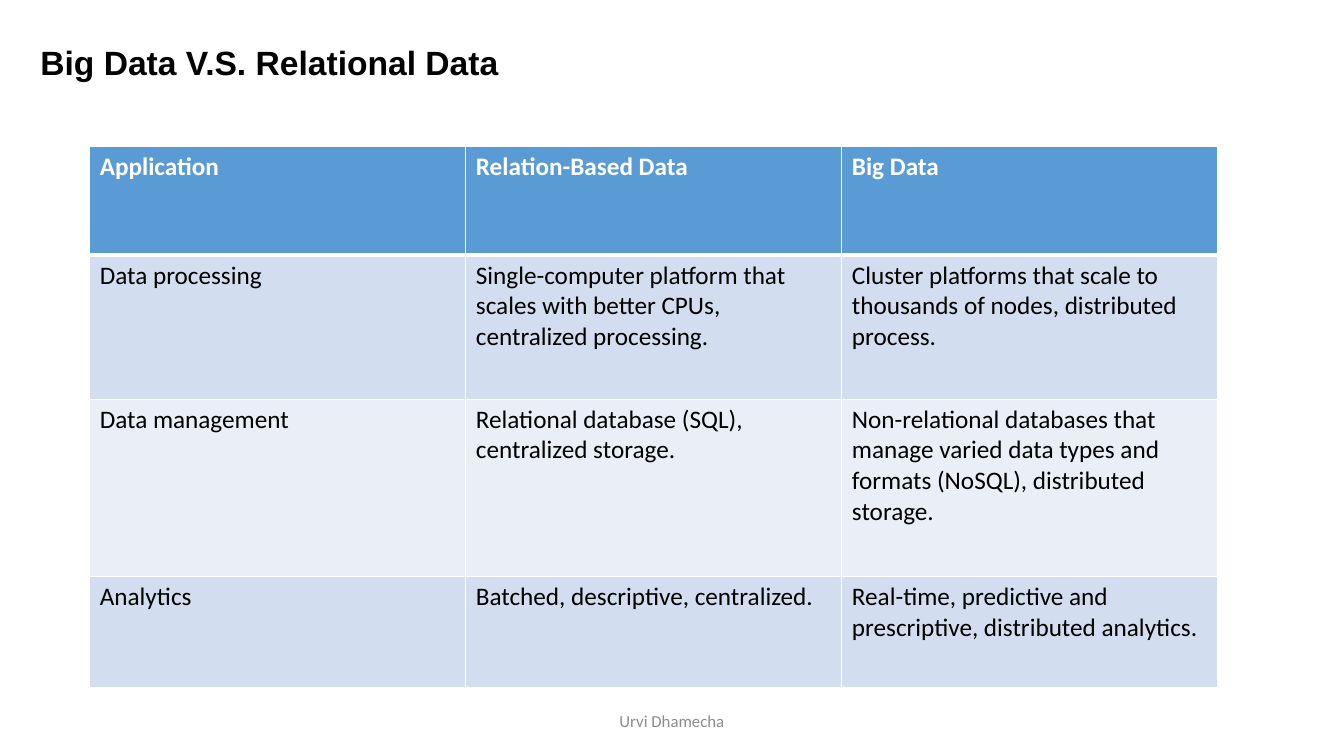
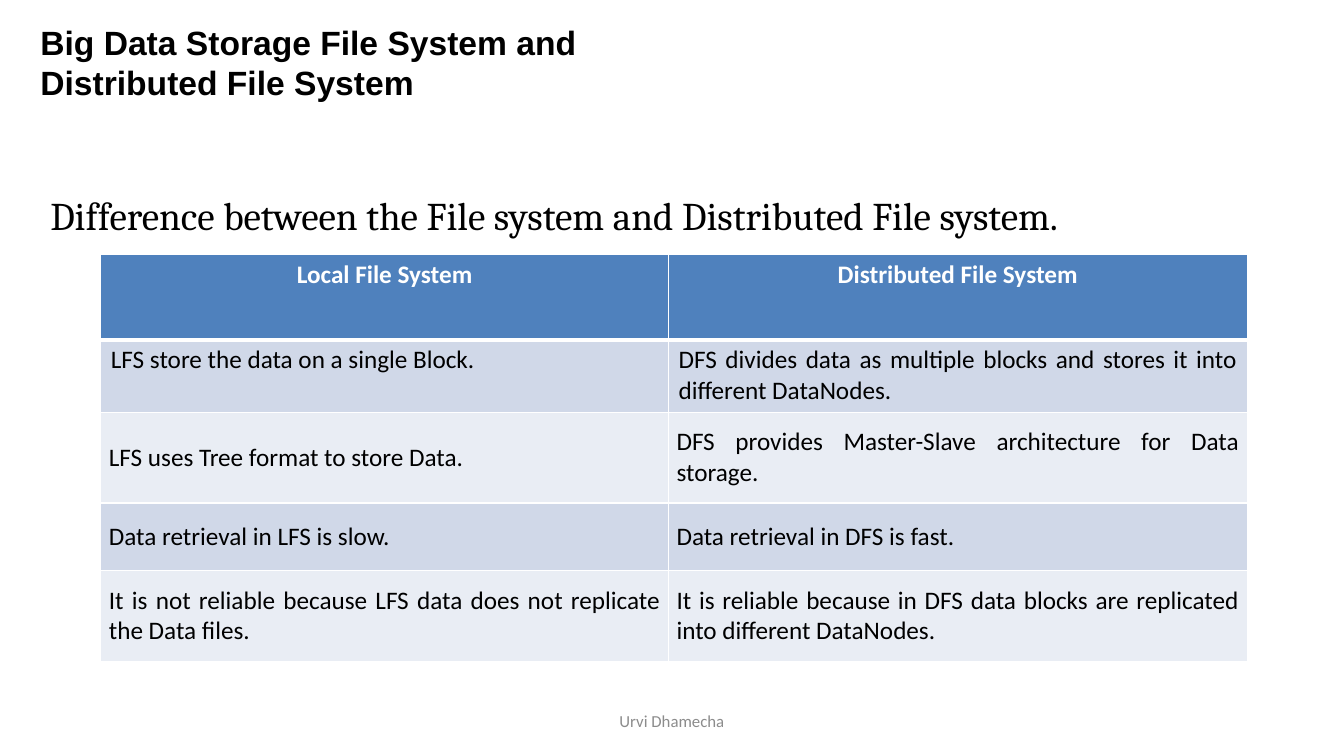
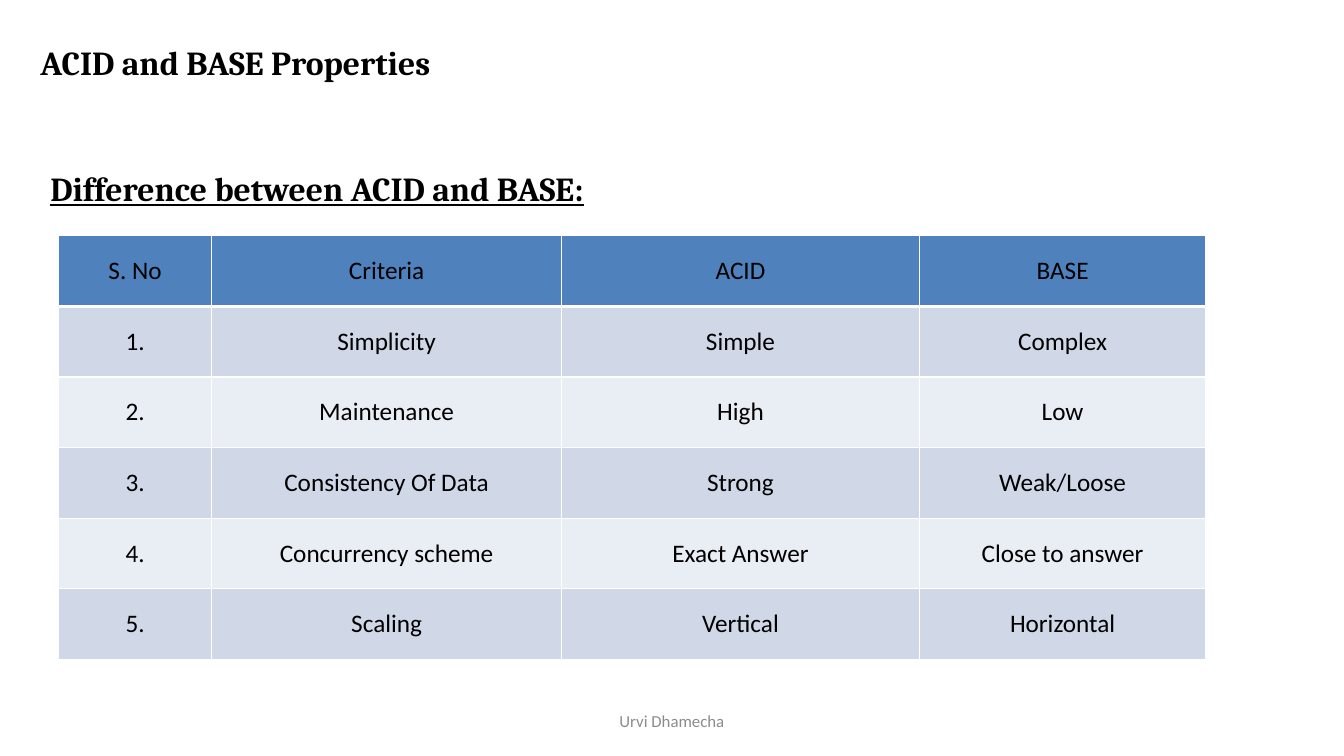
from pptx import Presentation
from pptx.dml.color import RGBColor
from pptx.enum.text import MSO_ANCHOR as Anchor, PP_ALIGN as Align
from pptx.oxml import parse_xml
from pptx.oxml.ns import nsdecls
from pptx.util import Inches, Pt

# Shared look
WIDTH, HEIGHT = 13.33, 7.5
LEFT = 0.4
BLACK, WHITE, GREY = "000000", "FFFFFF", "8C8C8C"
BRIGHT = ("5B9BD5", "D2DEEF", "EAEFF7")  # header, odd rows, even rows
MUTED = ("4F81BD", "D0D8E8", "E9EDF4")
TOP_CELL = (Anchor.TOP, 0.1, 0.05)  # anchor, side margin, top and bottom margin
MIDDLE_CELL = (Anchor.MIDDLE, 0.08, 0.12)
FOOTER = "Urvi Dhamecha"
FOOTER_WIDTH = 4.5

# Slide contents
pages = [
    dict(
        title="Big Data V.S. Relational Data", title_font="Arial",
        title_place=(0.4, 4.98, 0.42), subtitle=None,
        place=(0.89, 1.45), columns=[3.73] * 3, rows=[1.08, 1.43, 1.76, 1.1],
        fills=BRIGHT, header_color=WHITE, header_bold=True,
        aligns=(Align.LEFT, Align.LEFT), cell_styles=[TOP_CELL] * 4,
        cells=[
            ["Application", "Relation-Based Data", "Big Data"],
            ["Data processing",
             "Single-computer platform that scales with better CPUs, centralized processing.",
             "Cluster platforms that scale to thousands of nodes, distributed process."],
            ["Data management",
             "Relational database (SQL), centralized storage.",
             "Non-relational databases that manage varied data types and formats (NoSQL), "
             "distributed storage."],
            ["Analytics",
             "Batched, descriptive, centralized.",
             "Real-time, predictive and prescriptive, distributed analytics."],
        ],
    ),
    dict(
        title="Big Data Storage File System and\vDistributed File System", title_font="Arial",
        title_place=(0.2, 7.72, 0.82),
        subtitle="Difference between the File system and Distributed File system.",
        subtitle_height=1.9, subtitle_size=28, subtitle_strong=False,
        subtitle_align=Align.JUSTIFY, subtitle_spacing=1.5,
        place=(1, 2.52), columns=[5.63, 5.74], rows=[0.85, 0.72, 0.9, 0.67, 0.9],
        fills=MUTED, header_color=WHITE, header_bold=True,
        aligns=(Align.CENTER, Align.JUSTIFY),
        cell_styles=[TOP_CELL] * 2 + [MIDDLE_CELL] * 3,
        cells=[
            ["Local File System", "Distributed File System"],
            ["LFS store the data on a single Block.",
             "DFS divides data as multiple blocks and stores it into different DataNodes."],
            ["LFS uses Tree format to store Data.",
             "DFS provides Master-Slave architecture for Data storage."],
            ["Data retrieval in LFS is slow.", "Data retrieval in DFS is fast."],
            ["It is not reliable because LFS data does not replicate the Data files.",
             "It is reliable because in DFS data blocks are replicated into different DataNodes."],
        ],
    ),
    dict(
        title="ACID and BASE Properties", title_font="Cambria",
        title_place=(0.4, 7.72, 0.42),
        subtitle="Difference between ACID and BASE:",
        subtitle_height=1.55, subtitle_size=24, subtitle_strong=True,
        subtitle_align=Align.LEFT, subtitle_spacing=1.0,
        place=(0.58, 2.34), columns=[1.52, 3.47, 3.55, 2.84], rows=[0.7] * 6,
        fills=MUTED, header_color=BLACK, header_bold=False,
        aligns=(Align.CENTER, Align.CENTER), cell_styles=[MIDDLE_CELL] * 6,
        cells=[
            ["S. No", "Criteria", "ACID", "BASE"],
            ["1.", "Simplicity", "Simple", "Complex"],
            ["2.", "Maintenance", "High", "Low"],
            ["3.", "Consistency Of Data", "Strong", "Weak/Loose"],
            ["4.", "Concurrency scheme", "Exact Answer", "Close to answer"],
            ["5.", "Scaling", "Vertical", "Horizontal"],
        ],
    ),
]


def style(para, font, size, color, bold=False, align=Align.LEFT):
    para.alignment = align
    para.font.name, para.font.size, para.font.bold = font, Pt(size), bold
    para.font.color.rgb = RGBColor.from_string(color)


def add_borders(cell, row):
    """White cell borders, heavier between the header and the first row."""
    widths = dict(L=1, R=1, T=3 if row == 1 else 1, B=3 if row == 0 else 1)
    for side, width in widths.items():
        cell._tc.get_or_add_tcPr().append(parse_xml(
            f'<a:ln{side} {nsdecls("a")} w="{Pt(width)}"><a:solidFill>'
            f'<a:srgbClr val="{WHITE}"/></a:solidFill></a:ln{side}>'))


deck = Presentation()
deck.slide_width, deck.slide_height = Inches(WIDTH), Inches(HEIGHT)
title_only = deck.slide_layouts[5]

for page in pages:
    slide = deck.slides.add_slide(title_only)

    # Title
    title = slide.shapes.title
    top, width, height = page["title_place"]
    title.left, title.top = Inches(LEFT), Inches(top)
    title.width, title.height = Inches(width), Inches(height)
    frame = title.text_frame
    frame.margin_left = frame.margin_right = frame.margin_bottom = 0
    frame.margin_top = Inches(0.01)
    frame.vertical_anchor = Anchor.MIDDLE
    frame.text = page["title"]
    style(frame.paragraphs[0], page["title_font"], 24, BLACK, bold=True)

    # Subtitle
    if page["subtitle"]:
        box = slide.shapes.add_textbox(Inches(LEFT), Inches(1.62), Inches(12.19),
                                       Inches(page["subtitle_height"]))
        box.text_frame.word_wrap = True
        para = box.text_frame.paragraphs[0]
        para.text = page["subtitle"]
        para.line_spacing = page["subtitle_spacing"]
        style(para, "Cambria", page["subtitle_size"], BLACK,
              page["subtitle_strong"], page["subtitle_align"])
        para.font.underline = page["subtitle_strong"]

    # Footer
    footer = slide.shapes.add_textbox(Inches((WIDTH - FOOTER_WIDTH) / 2), Inches(6.95),
                                      Inches(FOOTER_WIDTH), Inches(0.4))
    footer.text_frame.word_wrap = True
    footer.text_frame.vertical_anchor = Anchor.MIDDLE
    footer.text_frame.text = FOOTER
    style(footer.text_frame.paragraphs[0], "Calibri", 12, GREY, align=Align.CENTER)

    # Table
    left, top = page["place"]
    columns, rows = page["columns"], page["rows"]
    table = slide.shapes.add_table(len(rows), len(columns), Inches(left), Inches(top),
                                   Inches(sum(columns)), Inches(sum(rows))).table
    for column, width in zip(table.columns, columns):
        column.width = Inches(width)
    header_fill, odd_fill, even_fill = page["fills"]
    header_align, body_align = page["aligns"]
    for row, texts in enumerate(page["cells"]):
        table.rows[row].height = Inches(rows[row])
        header = row == 0
        fill = header_fill if header else odd_fill if row % 2 else even_fill
        anchor, side, edge = page["cell_styles"][row]
        for column, text in enumerate(texts):
            cell = table.cell(row, column)
            add_borders(cell, row)
            cell.fill.solid()
            cell.fill.fore_color.rgb = RGBColor.from_string(fill)
            cell.vertical_anchor = anchor
            cell.margin_left = cell.margin_right = Inches(side)
            cell.margin_top = cell.margin_bottom = Inches(edge)
            cell.text = text
            style(cell.text_frame.paragraphs[0], "Calibri", 18,
                  page["header_color"] if header else BLACK,
                  header and page["header_bold"],
                  header_align if header else body_align)

deck.save("out.pptx")
